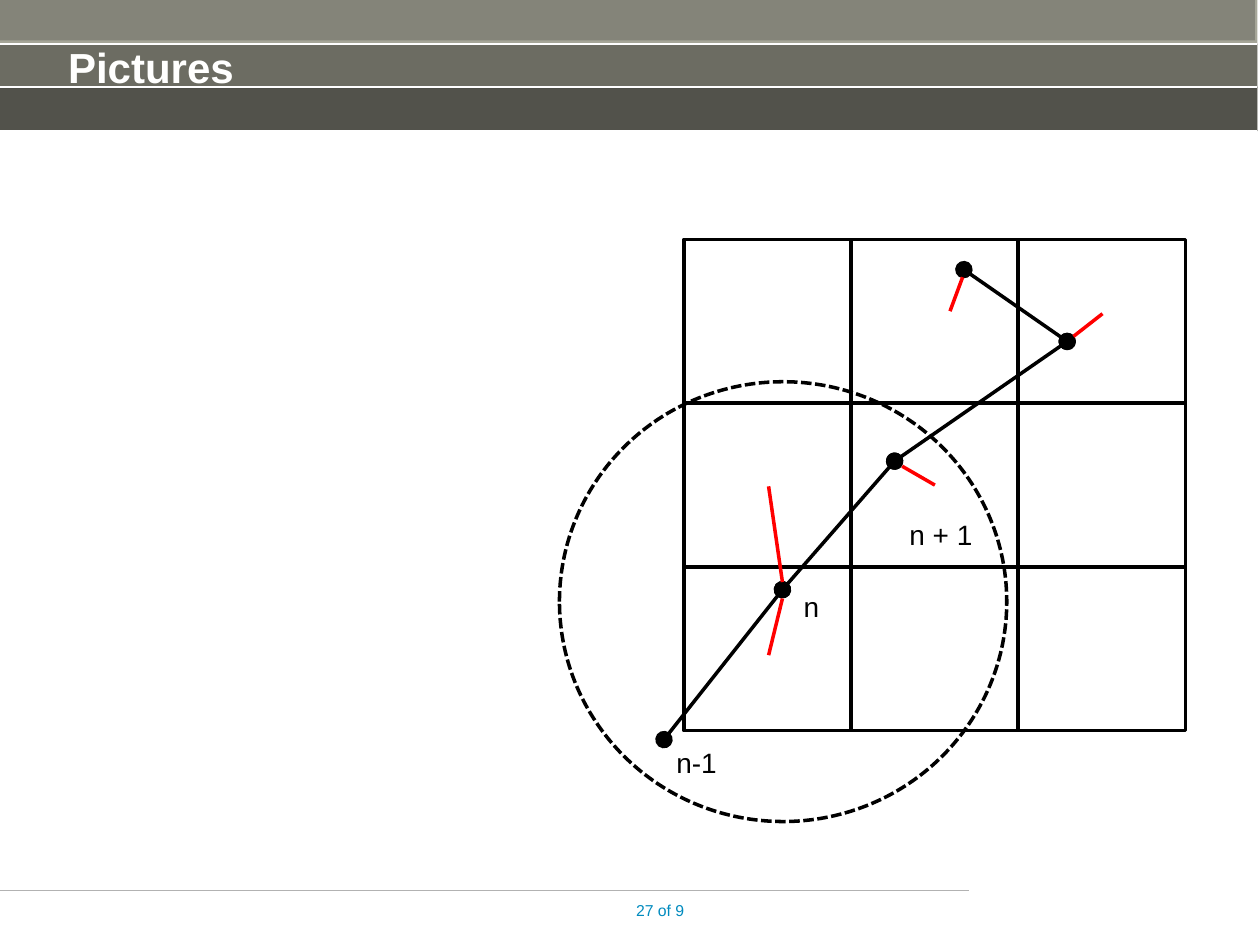
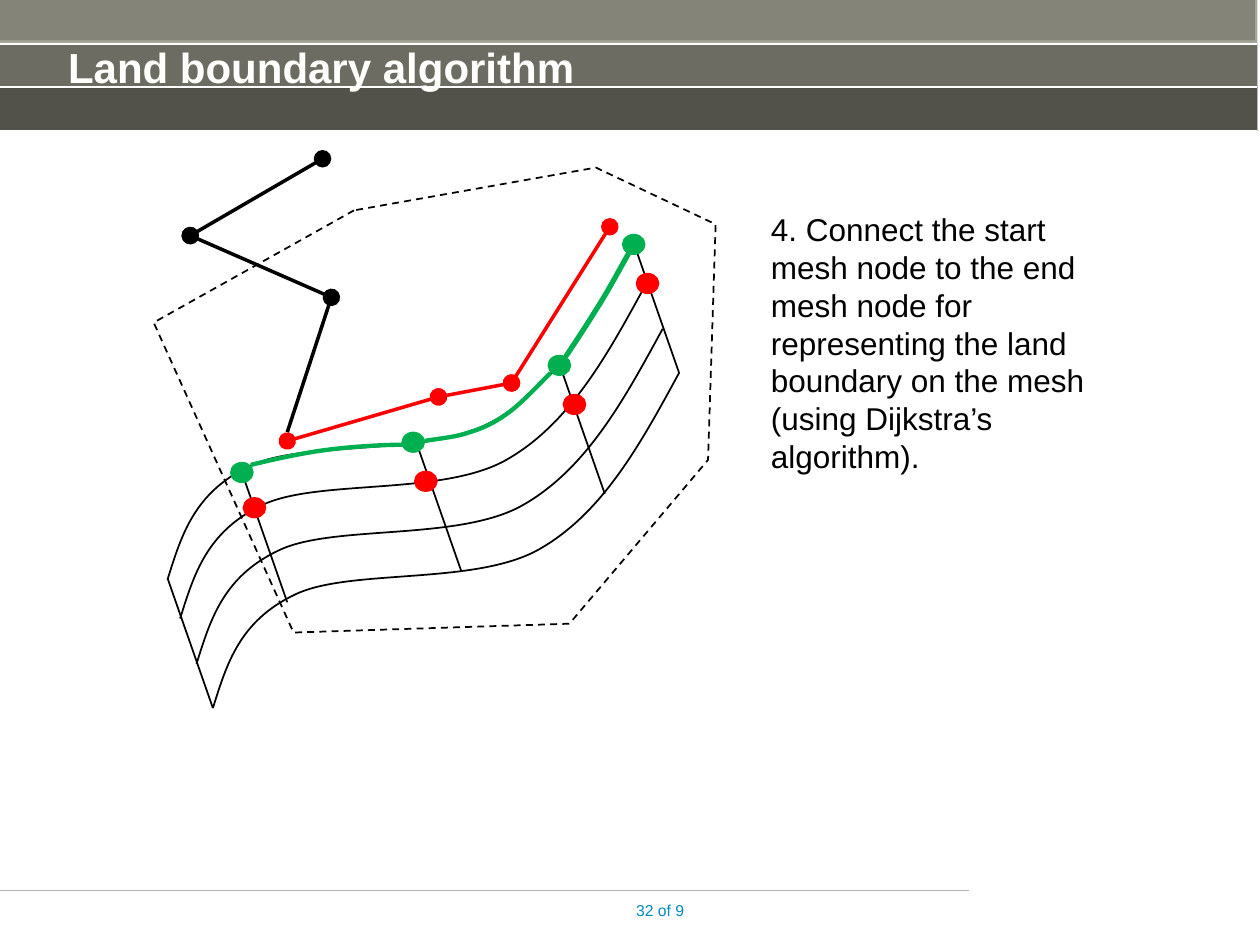
import itertools
from dataclasses import dataclass

import lxml.etree
import pptx
import pptx.dml.color
import pptx.dml.line
import pptx.enum.dml
import pptx.enum.shapes
import pptx.enum.text
import pptx.oxml.ns
import pptx.presentation
import pptx.shapes.autoshape
import pptx.slide
import pptx.util

RGBColor = pptx.dml.color.RGBColor
Shape = pptx.shapes.autoshape.Shape
Slide = pptx.slide.Slide
Dash = pptx.enum.dml.MSO_LINE
Align = pptx.enum.text.PP_ALIGN
Preset = pptx.enum.shapes.MSO_SHAPE
qn = pptx.oxml.ns.qn
Point = tuple[int, int]

EMU_PER_PX = 9144  # 100 px to the inch
FONT = "Arial"
BLACK = RGBColor(0x00, 0x00, 0x00)
WHITE = RGBColor(0xFF, 0xFF, 0xFF)
RED = RGBColor(0xFF, 0x00, 0x00)
GREEN = RGBColor(0x00, 0xB0, 0x50)
BAND = RGBColor(0xA6, 0xA6, 0x98)
TITLE_WHITE = RGBColor(0xFF, 0xFF, 0xFE)
FOOTER_GREY = RGBColor(0xB2, 0xB2, 0xB2)
FOOTER_BLUE = RGBColor(0x00, 0x8B, 0xBF)


@dataclass(frozen=True)
class Box:
    left: int
    top: int
    width: int
    height: int

    def emu(self) -> list[int]:
        return [px(n) for n in (self.left, self.top, self.width, self.height)]


@dataclass(frozen=True)
class Stroke:
    color: RGBColor
    points: float
    dash: Dash | None = None
    oval_ends: bool = False


@dataclass(frozen=True)
class TextStyle:
    size: int
    color: RGBColor = BLACK
    bold: bool = False
    align: Align = Align.LEFT
    margin_x: int = 10
    margin_y: int = 5


@dataclass(frozen=True)
class Label:
    text: str
    box: Box


@dataclass(frozen=True)
class Shade:
    left: int
    top: int
    opacity: int


TITLE_STYLE = TextStyle(24, TITLE_WHITE, bold=True, margin_x=0)
FOOTER_STYLE = TextStyle(9, FOOTER_BLUE, align=Align.RIGHT, margin_x=0, margin_y=0)
LABEL_STYLE = TextStyle(16)
BODY_STYLE = TextStyle(18)

BAND_RULE = Stroke(WHITE, 0.75)
FOOTER_RULE = Stroke(FOOTER_GREY, 0.75)
BLACK_LINE = Stroke(BLACK, 2)
NODE_LINE = Stroke(BLACK, 2, oval_ends=True)
RED_LINE = Stroke(RED, 2)
RED_NODE_LINE = Stroke(RED, 2, oval_ends=True)
MESH_LINE = Stroke(BLACK, 1)

BAND_WIDTH = 998
BAND_SHADES = [Shade(-2, -3, 20), Shade(0, 35, 35), Shade(0, 69, 50)]

GRID_SIZE = 3
GRID = Box(543, 190, 398, 390)
TRACK = [(527, 587), (621, 468), (710, 366), (847, 271), (765, 214)]
PROJECTIONS = [
    ((621, 462), (610, 386)),
    ((610, 520), (621, 475)),
    ((742, 385), (716, 370)),
    ((875, 249), (852, 267)),
    ((764, 220), (754, 247)),
]
NODE_LABELS = [
    Label("n-1", Box(527, 587, 54, 37)),
    Label("n", Box(628, 463, 54, 37)),
    Label("n + 1", Box(712, 406, 84, 37)),
]
SEARCH_CIRCLE = Box(444, 303, 355, 349)

MESH_CURVE = [(133, 460), (144, 425), (154, 391), (198, 370), (241, 349),
              (341, 363), (392, 334), (443, 305), (473, 249), (503, 194)]
MESH_OFFSETS = [(0, 0), (10, 31), (23, 67), (36, 102)]
RIB_STARTS = [(133, 459), (192, 375), (330, 350), (444, 289), (503, 193)]
RIB_VECTOR = (36, 103)
LAND_BOUNDARY = [(228, 350), (348, 315), (406, 304), (484, 180)]
OUTSIDE_BOUNDARY = [(263, 236), (151, 187), (256, 126)]
SEARCH_POLYGON = [(281, 167), (122, 256), (233, 502), (452, 495),
                  (562, 365), (568, 178), (473, 133)]
PATH_NODES = [(184, 368), (320, 344), (436, 283), (495, 187)]
OTHER_NODES = [(194, 396), (330, 375), (448, 314), (506, 218)]
MESH_PATHS = [
    (2.5, [(199, 369), (216, 365), (233, 361), (253, 358),
           (273, 355), (301, 353), (320, 353)]),
    (2.5, [(337, 350), (349, 348), (362, 347), (373, 343), (383, 340),
           (392, 336), (403, 328), (414, 320), (425, 308), (437, 296)]),
    (3, [(449, 283), (457, 271), (465, 259), (473, 246),
         (482, 232), (490, 217), (499, 201)]),
]


def px(length: int) -> int:
    return length * EMU_PER_PX


def shift(point: Point, offset: Point) -> Point:
    return point[0] + offset[0], point[1] + offset[1]


def apply_stroke(line: pptx.dml.line.LineFormat, stroke: Stroke) -> None:
    line.color.rgb = stroke.color
    line.width = pptx.util.Pt(stroke.points)
    if stroke.dash is not None:
        line.dash_style = stroke.dash


def style_shape(shape: Shape, fill: RGBColor | None, stroke: Stroke | None) -> None:
    shape.shadow.inherit = False
    if fill is None:
        shape.fill.background()
    else:
        shape.fill.solid()
        shape.fill.fore_color.rgb = fill
    if stroke is None:
        shape.line.fill.background()
    else:
        apply_stroke(shape.line, stroke)


def add_preset(slide: Slide, preset: Preset, box: Box,
               fill: RGBColor | None = None, stroke: Stroke | None = None) -> Shape:
    shape = slide.shapes.add_shape(preset, *box.emu())
    style_shape(shape, fill, stroke)
    return shape


def add_line(slide: Slide, start: Point, end: Point, stroke: Stroke) -> None:
    connector = slide.shapes.add_connector(
        pptx.enum.shapes.MSO_CONNECTOR.STRAIGHT, *map(px, start + end))
    apply_stroke(connector.line, stroke)
    properties = connector._element.spPr
    if stroke.oval_ends:
        outline = properties.find(qn("a:ln"))
        for tag in ("a:headEnd", "a:tailEnd"):
            lxml.etree.SubElement(outline, qn(tag), type="oval", w="lg", len="lg")
    lxml.etree.SubElement(properties, qn("a:effectLst"))


def add_chain(slide: Slide, points: list[Point], stroke: Stroke) -> None:
    """Join successive points with straight lines."""
    for start, end in itertools.pairwise(points):
        add_line(slide, start, end, stroke)


def add_outline(slide: Slide, points: list[Point], stroke: Stroke, close: bool) -> Shape:
    builder = slide.shapes.build_freeform(*points[0], scale=EMU_PER_PX)
    builder.add_line_segments(points[1:], close=close)
    shape = builder.convert_to_shape()
    style_shape(shape, None, stroke)
    return shape


def add_curve(slide: Slide, points: list[Point], stroke: Stroke) -> None:
    """Draw a Bezier curve: a start point, then three points for each segment."""
    shape = add_outline(slide, points, stroke, close=False)
    segments = list(shape._element.iter(qn("a:lnTo")))
    for first, second, third in zip(*[iter(segments)] * 3):
        first.tag = qn("a:cubicBezTo")
        for segment in (second, third):
            first.append(segment[0])
            segment.getparent().remove(segment)


def add_text(slide: Slide, label: Label, style: TextStyle) -> None:
    text_frame = slide.shapes.add_textbox(*label.box.emu()).text_frame
    text_frame.word_wrap = True
    text_frame.margin_left = text_frame.margin_right = px(style.margin_x)
    text_frame.margin_top = text_frame.margin_bottom = px(style.margin_y)
    text_frame.text = label.text
    paragraph = text_frame.paragraphs[0]
    paragraph.alignment = style.align
    font = paragraph.runs[0].font
    font.name = FONT
    font.size = pptx.util.Pt(style.size)
    font.bold = style.bold
    font.color.rgb = style.color


def add_base_slide(presentation: pptx.presentation.Presentation,
                   title: str, number: int) -> Slide:
    """Add a slide with the title band and the footer."""
    slide = presentation.slides.add_slide(presentation.slide_layouts[6])
    add_preset(slide, Preset.RECTANGLE, Box(0, 0, BAND_WIDTH, 104), BAND)
    for shade in BAND_SHADES:
        box = Box(shade.left, shade.top, BAND_WIDTH, 35)
        shape = add_preset(slide, Preset.RECTANGLE, box, BLACK)
        color = next(shape._element.spPr.iter(qn("a:srgbClr")))
        lxml.etree.SubElement(color, qn("a:alpha"), val=str(shade.opacity * 1000))
    for y in (35, 69, 104):
        add_line(slide, (0, y), (BAND_WIDTH, y), BAND_RULE)
    add_line(slide, (769, 707), (0, 707), FOOTER_RULE)
    add_text(slide, Label(title, Box(54, 28, 921, 79)), TITLE_STYLE)
    add_text(slide, Label(f"{number} of 9", Box(492, 715, 51, 35)), FOOTER_STYLE)
    return slide


def draw_pictures(slide: Slide) -> None:
    cell_width, cell_height = round(GRID.width / GRID_SIZE), GRID.height // GRID_SIZE
    for row, column in itertools.product(range(GRID_SIZE), repeat=2):
        box = Box(GRID.left + column * GRID.width // GRID_SIZE,
                  GRID.top + row * cell_height, cell_width, cell_height)
        add_preset(slide, Preset.RECTANGLE, box, stroke=BLACK_LINE)
    add_chain(slide, TRACK, NODE_LINE)
    for label in NODE_LABELS:
        add_text(slide, label, LABEL_STYLE)
    add_preset(slide, Preset.OVAL, SEARCH_CIRCLE,
               stroke=Stroke(BLACK, 2, Dash.SQUARE_DOT))
    for start, end in PROJECTIONS:
        add_line(slide, start, end, RED_LINE)


def draw_land_boundary(slide: Slide) -> None:
    for offset in MESH_OFFSETS:
        add_curve(slide, [shift(point, offset) for point in MESH_CURVE], MESH_LINE)
    for start in RIB_STARTS:
        add_line(slide, start, shift(start, RIB_VECTOR), MESH_LINE)
    add_chain(slide, LAND_BOUNDARY, RED_NODE_LINE)
    add_line(slide, (228, 343), OUTSIDE_BOUNDARY[0], BLACK_LINE)
    add_chain(slide, OUTSIDE_BOUNDARY, NODE_LINE)
    add_outline(slide, SEARCH_POLYGON, Stroke(BLACK, 1, Dash.DASH), close=True)
    for nodes, color in ((PATH_NODES, GREEN), (OTHER_NODES, RED)):
        for left, top in nodes:
            add_preset(slide, Preset.FLOWCHART_CONNECTOR, Box(left, top, 16, 14),
                       color, Stroke(color, 2))
    for points, curve in MESH_PATHS:
        add_curve(slide, curve, Stroke(GREEN, points))
    step = Label("4. Connect the start mesh node to the end mesh node for representing "
                 "the land boundary on the mesh (using Dijkstra’s algorithm).",
                 Box(602, 162, 276, 220))
    add_text(slide, step, BODY_STYLE)


def main() -> None:
    presentation = pptx.Presentation()
    presentation.slide_width = px(1000)
    presentation.slide_height = px(750)
    draw_pictures(add_base_slide(presentation, "Pictures", 27))
    draw_land_boundary(add_base_slide(presentation, "Land boundary algorithm", 32))
    presentation.save("out.pptx")


if __name__ == "__main__":
    main()
